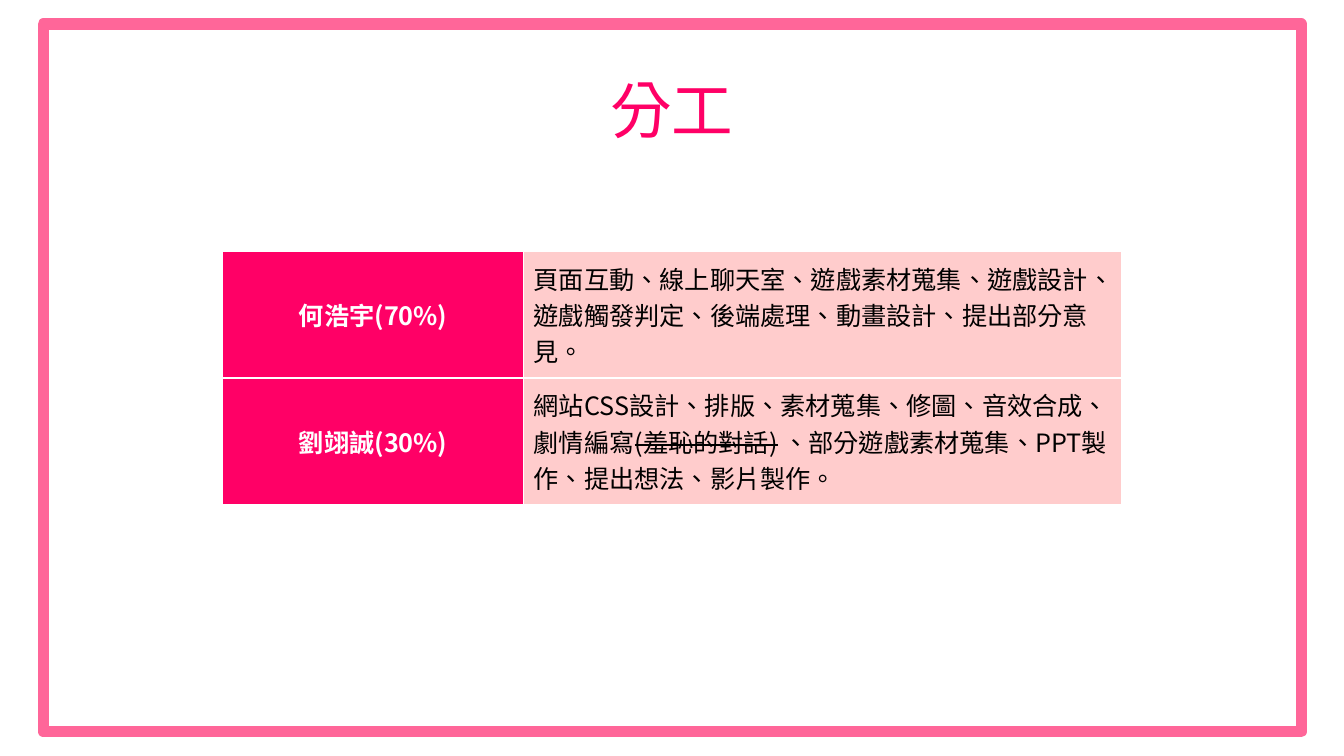
import pptx
import pptx.util
import pptx.dml.color
import pptx.enum.shapes
import pptx.enum.text
import pptx.oxml
import pptx.oxml.ns

Pt = pptx.util.Pt
Align = pptx.enum.text.PP_ALIGN
Anchor = pptx.enum.text.MSO_ANCHOR
qn = pptx.oxml.ns.qn
NS = pptx.oxml.ns.nsdecls("a")

FONT = "Noto Sans CJK SC"
COLORS = {
    "deep": "FF0066",
    "frame": "FF6699",
    "pale": "FFCCCC",
    "white": "FFFFFF",
    "black": "000000",
}
TASKS = [
    ("何浩宇(70%)", [
        ("頁面互動、線上聊天室、遊戲素材蒐集、遊戲設計、"
         "遊戲觸發判定、後端處理、動畫設計、提出部分意見。", False),
    ]),
    ("劉翊誠(30%)", [
        ("網站CSS設計、排版、素材蒐集、修圖、音效合成、劇情編寫", False),
        ("(羞恥的對話)", True),
        (" 、部分遊戲素材蒐集、PPT製作、提出想法、影片製作。", False),
    ]),
]


def color(name):
    return pptx.dml.color.RGBColor.from_string(COLORS[name])


def write(para, text, size=18, tint="black", bold=False, strike=False):
    run = para.add_run()
    run.text = text
    font = run.font
    font.size = Pt(size)
    font.bold = bold
    font.color.rgb = color(tint)
    font.name = FONT
    props = run._r.get_or_add_rPr()
    props.set("lang", "zh-TW")
    if strike:
        props.set("strike", "sngStrike")
    east = pptx.oxml.parse_xml(f'<a:ea {NS} typeface="{FONT}"/>')
    props.find(qn("a:latin")).addnext(east)


class Page:
    def __init__(self, deck):
        self.slide = deck.slides.add_slide(deck.slide_layouts[6])
        self.shapes = self.slide.shapes

    def title(self, text, left, top, width, height):
        box = self.shapes.add_textbox(Pt(left), Pt(top), Pt(width), Pt(height))
        frame = box.text_frame
        frame.word_wrap = True
        frame.vertical_anchor = Anchor.MIDDLE
        para = frame.paragraphs[0]
        para.alignment = Align.CENTER
        para.line_spacing = 0.9
        write(para, text, size=44, tint="deep")

    def border(self, left, top, width, height, line):
        kind = pptx.enum.shapes.MSO_SHAPE.RECTANGLE
        rect = self.shapes.add_shape(kind, Pt(left), Pt(top), Pt(width), Pt(height))
        rect.shadow.inherit = False
        rect.fill.background()
        rect.line.color.rgb = color("frame")
        rect.line.width = Pt(line)
        rect.line._ln.append(pptx.oxml.parse_xml(f"<a:round {NS}/>"))

    def cell(self, cell, parts, fill, align, **style):
        props = cell._tc.get_or_add_tcPr()
        for side in "LRTB":
            props.append(pptx.oxml.parse_xml(
                f'<a:ln{side} {NS} w="{Pt(1)}"><a:solidFill>'
                f'<a:srgbClr val="{COLORS["white"]}"/></a:solidFill></a:ln{side}>'))
        cell.fill.solid()
        cell.fill.fore_color.rgb = color(fill)
        cell.vertical_anchor = Anchor.MIDDLE
        para = cell.text_frame.paragraphs[0]
        para.alignment = align
        for text, strike in parts:
            write(para, text, strike=strike, **style)

    def table(self, rows, left, top, widths, height):
        frame = self.shapes.add_table(
            len(rows), len(widths), Pt(left), Pt(top),
            Pt(sum(widths)), Pt(height * len(rows)))
        grid = frame.table
        for col, width in zip(grid.columns, widths):
            col.width = Pt(width)
        for num, (name, parts) in enumerate(rows):
            grid.rows[num].height = Pt(height)
            self.cell(grid.cell(num, 0), [(name, False)], "deep",
                      Align.CENTER, tint="white", bold=True)
            self.cell(grid.cell(num, 1), parts, "pale", Align.LEFT)


def main():
    deck = pptx.Presentation()
    deck.slide_width = Pt(960)
    deck.slide_height = Pt(540)
    page = Page(deck)
    page.title("分工", 66, 28.75, 828, 104.4)
    page.border(30.8, 17.2, 898.6, 505.4, line=8)
    page.table(TASKS, 159.1, 179.3, widths=[215, 427], height=90.7)
    deck.save("out.pptx")


if __name__ == "__main__":
    main()
